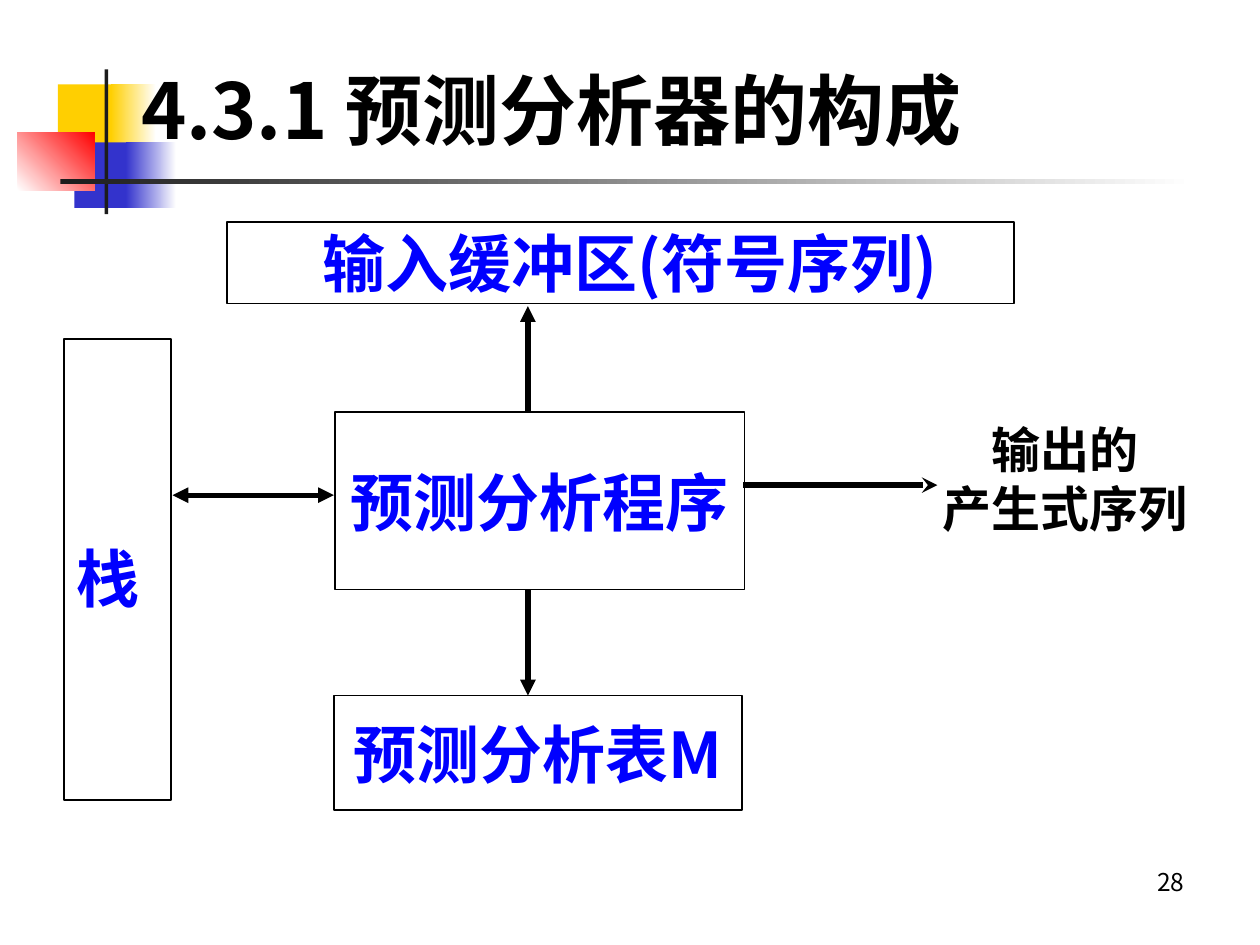
from typing import NamedTuple, Optional

import pptx
import pptx.dml.color
import pptx.enum.shapes
import pptx.enum.text
import pptx.oxml
import pptx.oxml.ns
import pptx.util

RGB = pptx.dml.color.RGBColor
ALIGN = pptx.enum.text.PP_ALIGN
ANCHOR = pptx.enum.text.MSO_ANCHOR
RECT = pptx.enum.shapes.MSO_SHAPE.RECTANGLE

BLACK = RGB(0x00, 0x00, 0x00)
WHITE = RGB(0xFF, 0xFF, 0xFF)
YELLOW = RGB(0xFF, 0xCF, 0x01)
INDIGO = RGB(0x33, 0x33, 0xCC)
RED = RGB(0xFF, 0x00, 0x00)
CHARCOAL = RGB(0x1C, 0x1C, 0x1C)
BLUE = RGB(0x00, 0x00, 0xFF)

FONT = "Noto Sans CJK SC"
COLUMNS = 100  # square cells: the slide is 100 columns by 75 rows
SLIDE_WIDTH = pptx.util.Inches(10)
SLIDE_HEIGHT = pptx.util.Inches(7.5)


class Area(NamedTuple):
    col: float
    row: float
    cols: float
    rows: float


class Ornament(NamedTuple):
    area: Area
    start: RGB
    end: Optional[RGB] = None
    angle: float = 0


class Block(NamedTuple):
    text: str
    area: Area
    align: ALIGN = ALIGN.CENTER
    spacing: float = 1.0
    left_inset: float = 1.0


class Arrow(NamedTuple):
    start: tuple[float, float]
    end: tuple[float, float]
    head: Optional[str] = None
    tail: Optional[str] = None


ORNAMENTS = [
    Ornament(Area(4.6, 6.7, 4.8, 5.2), YELLOW),
    Ornament(Area(8.8, 6.7, 3.6, 5.2), YELLOW, WHITE),
    Ornament(Area(5.9, 11.3, 4.6, 5.2), INDIGO),
    Ornament(Area(10, 11.3, 4, 5.2), INDIGO, WHITE),
    Ornament(Area(1.4, 10.5, 6.1, 4.6), WHITE, RED, 45),
    Ornament(Area(8.3, 5.5, 0.3, 11.5), CHARCOAL),
    Ornament(Area(4.8, 14.2, 90, 0.4), CHARCOAL, WHITE),
]

BLOCKS = [
    Block("输入缓冲区(符号序列)", Area(18, 17.6, 62.5, 6.5), left_inset=2.4),
    Block("栈", Area(5.1, 26.9, 8.5, 36.6), ALIGN.LEFT, 1.2),
    Block("预测分析程序", Area(26.6, 32.7, 32.5, 14.1)),
    Block("预测分析表M", Area(26.5, 55.2, 32.4, 9.1)),
]

ARROWS = [
    Arrow((41.9, 32.6), (41.9, 24.3), tail="triangle"),
    Arrow((26.5, 39.3), (13.7, 39.3), head="triangle", tail="triangle"),
    Arrow((41.9, 55.2), (41.9, 46.8), head="triangle"),
    Arrow((59, 38.5), (74.4, 38.5), tail="stealth"),
]


def cells(*counts: float) -> list[int]:
    return [round(SLIDE_WIDTH * n / COLUMNS) for n in counts]


def write(tf, lines: list[str], size: float, color: RGB, bold: bool = True,
          align: ALIGN = ALIGN.CENTER, spacing: float = 1.0) -> None:
    for i, line in enumerate(lines):
        p = tf.paragraphs[0] if i == 0 else tf.add_paragraph()
        p.text = line
        p.alignment = align
        p.line_spacing = spacing
        p.space_before = pptx.util.Pt(0)
        p.font.size = pptx.util.Pt(size)
        p.font.bold = bold
        p.font.color.rgb = color
        p.font.name = FONT
        props = p._p.pPr.find(pptx.oxml.ns.qn("a:defRPr"))
        props.append(pptx.oxml.parse_xml(
            f'<a:ea {pptx.oxml.ns.nsdecls("a")} typeface="{FONT}"/>'))


def add_rect(s, area: Area):
    sp = s.shapes.add_shape(RECT, *cells(*area))
    sp.shadow.inherit = False
    return sp


def add_ornament(s, item: Ornament) -> None:
    sp = add_rect(s, item.area)
    sp.line.fill.background()
    if item.end is None:
        sp.fill.solid()
        sp.fill.fore_color.rgb = item.start
        return
    sp.fill.gradient()
    sp.fill.gradient_angle = item.angle
    for stop, color in zip(sp.fill.gradient_stops, (item.start, item.end)):
        stop.color.rgb = color


def add_block(s, block: Block) -> None:
    sp = add_rect(s, block.area)
    sp.fill.background()
    sp.line.color.rgb = BLACK
    sp.line.width = pptx.util.Pt(1)
    tf = sp.text_frame
    tf.word_wrap = False
    tf.vertical_anchor = ANCHOR.MIDDLE
    tf.margin_left = cells(block.left_inset)[0]
    write(tf, [block.text], 36, BLUE, align=block.align, spacing=block.spacing)


def add_arrow(s, arrow: Arrow) -> None:
    line = s.shapes.add_connector(pptx.enum.shapes.MSO_CONNECTOR.STRAIGHT,
                                  *cells(*arrow.start, *arrow.end))
    line.line.color.rgb = BLACK
    line.line.width = pptx.util.Pt(3)
    ns = pptx.oxml.ns.nsdecls("a")
    ln = line.line._get_or_add_ln()
    for tag, kind in (("headEnd", arrow.head), ("tailEnd", arrow.tail)):
        if kind:
            ln.append(pptx.oxml.parse_xml(f'<a:{tag} {ns} type="{kind}"/>'))
    line._element.spPr.append(pptx.oxml.parse_xml(f"<a:effectLst {ns}/>"))


def add_label(s, area: Area, lines: list[str], size: float, bold: bool,
              align: ALIGN) -> None:
    tf = s.shapes.add_textbox(*cells(*area)).text_frame
    tf.word_wrap = True
    write(tf, lines, size, BLACK, bold, align)


def place_title(s, text: str, area: Area) -> None:
    """Fill the title placeholder and bring it in front of the ornaments."""
    title = s.shapes.title
    title.left, title.top, title.width, title.height = cells(*area)
    title.text_frame.vertical_anchor = ANCHOR.MIDDLE
    write(title.text_frame, [text], 44, BLACK, align=ALIGN.LEFT)
    s.shapes._spTree.append(title._element)


def main() -> None:
    prs = pptx.Presentation()
    prs.slide_width, prs.slide_height = SLIDE_WIDTH, SLIDE_HEIGHT
    s = prs.slides.add_slide(prs.slide_layouts.get_by_name("Title Only"))
    for item in ORNAMENTS:
        add_ornament(s, item)
    add_label(s, Area(71.7, 68.3, 23.3, 5.2), ["28"], 14, False, ALIGN.RIGHT)
    place_title(s, "4.3.1 预测分析器的构成", Area(10.2, 3.3, 73.4, 10.6))
    for block in BLOCKS:
        add_block(s, block)
    for arrow in ARROWS:
        add_arrow(s, arrow)
    add_label(s, Area(72.4, 32.8, 24.2, 10.4), ["输出的", "产生式序列"],
              28, True, ALIGN.CENTER)
    prs.save("out.pptx")


if __name__ == "__main__":
    main()
